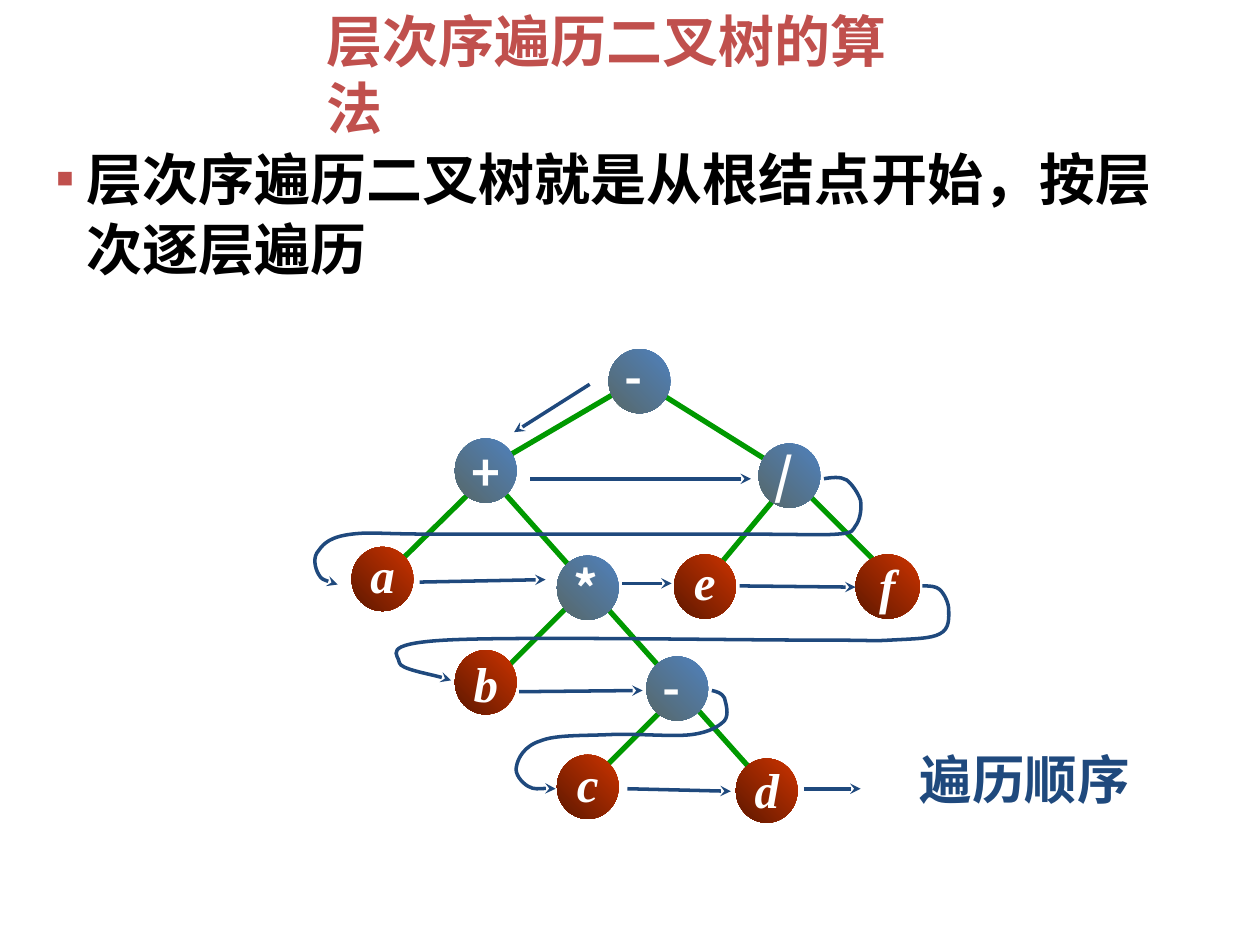
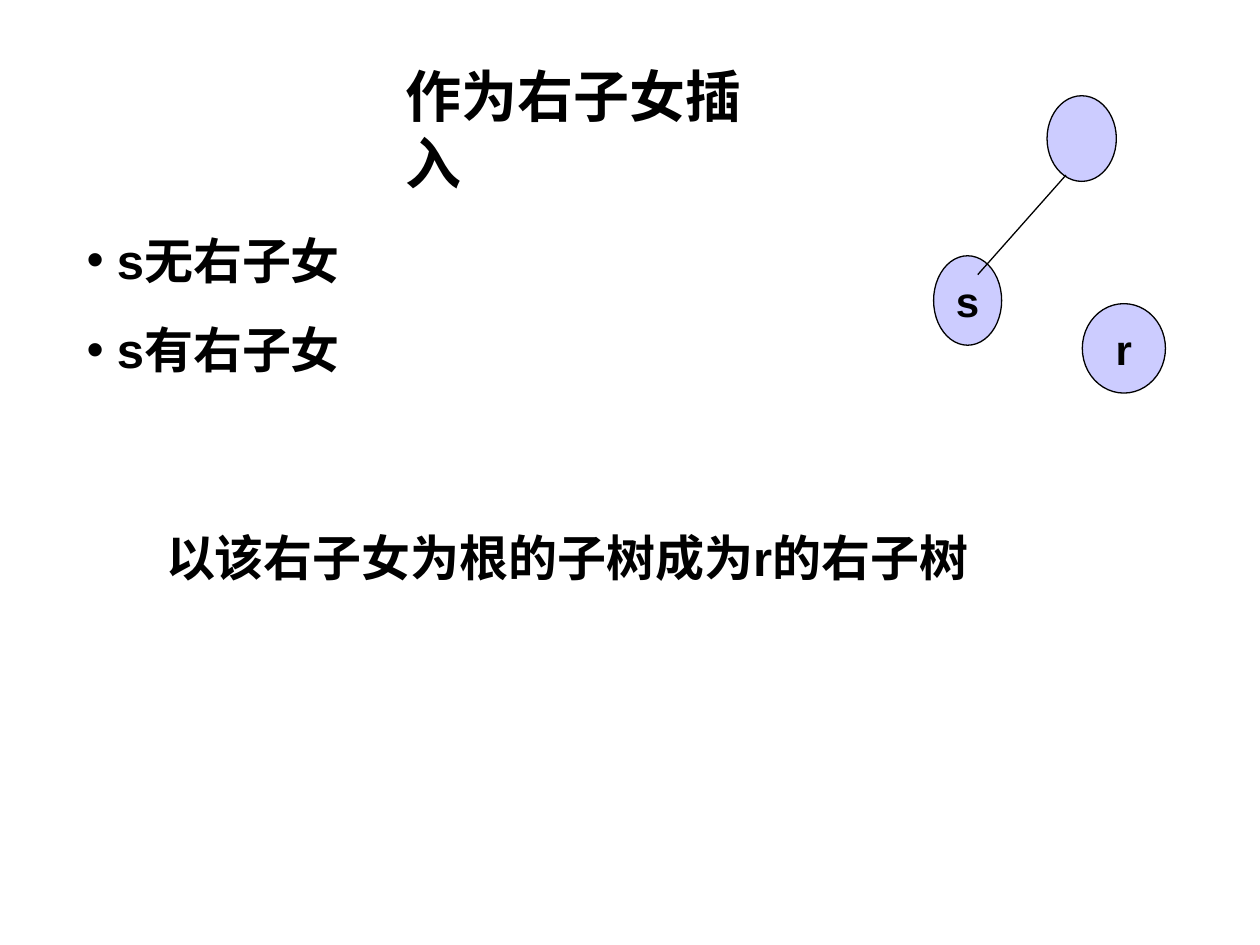
"""Build two slides on binary trees: level-order traversal and right-child insertion."""
import dataclasses
import typing

import lxml.etree
import pptx
import pptx.dml.color
import pptx.enum.shapes
import pptx.enum.text
import pptx.oxml.ns
import pptx.slide
import pptx.text.text
import pptx.util

RGB = pptx.dml.color.RGBColor
BLACK = RGB(0x00, 0x00, 0x00)
WHITE = RGB(0xFF, 0xFF, 0xFF)
NAVY = RGB(0x1F, 0x49, 0x7D)
BRICK = RGB(0xC0, 0x50, 0x4D)
GREEN = RGB(0x00, 0x99, 0x00)
LILAC = RGB(0xCC, 0xCC, 0xFF)
BLUES = (RGB(0x4F, 0x81, 0xBD), RGB(0x57, 0x68, 0x69))
REDS = (RGB(0xCC, 0x33, 0x00), RGB(0x5E, 0x18, 0x00))

SERIF = "Times New Roman"
SANS = "Arial"
HAN = "Noto Sans CJK SC"

COLS, ROWS = 100, 75
CELL = pptx.util.Inches(0.1)
Point = tuple[float, float]


class Box(typing.NamedTuple):
    """A place on the grid, in columns and rows."""
    left: float
    top: float
    wide: float
    high: float


class Link(typing.NamedTuple):
    """A straight line between two grid points."""
    start: Point
    end: Point


@dataclasses.dataclass(frozen=True)
class Node:
    """A tree node; leaves are operands, the rest operators."""
    mark: str
    left: float
    top: float
    lift: float
    span: float = 4.3
    wide: float = 4.9

    @property
    def leaf(self) -> bool:
        """Tell whether the node holds an operand."""
        return self.mark.isalpha()


@dataclasses.dataclass(frozen=True)
class Disc:
    """A plain labelled ellipse."""
    mark: str
    box: Box


NODES = (
    Node("-", 48.3, 27.7, 0.7),
    Node("+", 36.1, 34.8, 0.2),
    Node("/", 60.2, 35.2, 0.3),
    Node("a", 27.9, 43.4, 0.7, 3.9),
    Node("*", 44.2, 44.1, 0.3),
    Node("e", 53.5, 44, 0.7, 3.7),
    Node("f", 67.9, 44, 0.4, 3.3, 5.1),
    Node("b", 36.1, 51.6, 0.2, 3.9),
    Node("-", 51.3, 52.1, 0.4),
    Node("c", 44.2, 59.9, 0.6, 3.7),
    Node("d", 58.4, 60.2, 0.4, 3.9),
)
EDGES = (
    Link((49.7, 30.7), (39.8, 36.5)),
    Link((37.5, 38.9), (31.7, 44.6)),
    Link((40, 39.1), (59.9, 61.4)),
    Link((45.2, 48), (40, 53.2)),
    Link((52.9, 56), (47.3, 61.6)),
    Link((61.8, 39.2), (56.8, 45.2)),
    Link((52.2, 31.1), (61.3, 36.8)),
    Link((64, 39.1), (69.8, 44.9)),
)
STEPS = (
    Link((46.8, 30.5), (40.8, 34.3)),
    Link((42.1, 38), (59.6, 38)),
    Link((33.3, 46.2), (43.3, 46)),
    Link((49.4, 46.3), (53.3, 46.3)),
    Link((58.7, 46.5), (67.9, 46.6)),
    Link((41.2, 54.9), (51, 54.8)),
    Link((49.8, 62.6), (58, 62.8)),
    Link((63.8, 62.6), (68.3, 62.6)),
)
TURNS: tuple[tuple[Point, ...], ...] = (
    ((65.4, 38), (66, 37.9), (66.7, 37.8), (67.2, 38.1),
     (67.6, 38.4), (68.1, 39.1), (68.3, 39.7),
     (68.4, 40.3), (68.3, 41.1), (68, 41.6),
     (67.6, 42.1), (67.9, 42.3), (66.4, 42.4),
     (64.9, 42.5), (64.1, 42.4), (58.9, 42.4),
     (53.7, 42.4), (40.3, 42.4), (35.1, 42.4),
     (29.9, 42.4), (29.6, 42.2), (27.9, 42.4),
     (26.3, 42.6), (25.7, 43.1), (25.3, 43.7),
     (24.8, 44.2), (25, 45.1), (25.3, 45.6),
     (25.5, 46), (26.4, 46.3), (26.8, 46.4)),
    ((73.2, 46.5), (73.7, 46.5), (74.3, 46.5), (74.6, 46.8),
     (75, 47.2), (75.3, 47.9), (75.3, 48.4),
     (75.3, 49), (75.4, 49.9), (74.6, 50.3),
     (73.9, 50.7), (72.5, 50.7), (70.7, 50.8),
     (68.9, 50.9), (70, 50.8), (64.1, 50.8),
     (58.2, 50.8), (40.8, 50.5), (35.4, 50.8),
     (30, 51.1), (31.7, 52), (31.7, 52.6),
     (31.8, 53.1), (35.2, 53.7), (35.8, 54)),
    ((56.5, 54.8), (56.9, 54.9), (57.3, 55), (57.5, 55.4),
     (57.6, 55.8), (57.9, 56.7), (57.5, 57.2),
     (57.1, 57.6), (56.4, 58.1), (54.9, 58.3),
     (53.4, 58.5), (50.5, 58.2), (48.4, 58.3),
     (46.4, 58.4), (44.1, 58.3), (42.9, 58.8),
     (41.6, 59.2), (41.1, 60.2), (41, 60.8),
     (40.8, 61.4), (41.4, 62.1), (41.9, 62.4),
     (42.4, 62.7), (43.8, 62.5), (44.1, 62.6)),
)
DISCS = (
    Disc("s", Box(74.1, 20.3, 5.4, 7.1)),
    Disc("r", Box(85.9, 24.1, 6.6, 7.1)),
    Disc("", Box(83.1, 7.6, 5.5, 6.8)),
)


def size(*cells: float) -> list[int]:
    """Turn grid cells into lengths."""
    return [round(n * CELL) for n in cells]


def tag(parent: typing.Any, name: str, **attrs: str) -> typing.Any:
    """Append a DrawingML element."""
    return lxml.etree.SubElement(parent, pptx.oxml.ns.qn(name), attrs)


def dot(par: pptx.text.text._Paragraph, sign: str, hue: RGB, share: int) -> None:
    """Give a paragraph a bullet with a hanging indent."""
    props = par._p.get_or_add_pPr()
    hang = size(2.4)[0]
    props.set("marL", str(hang))
    props.set("indent", str(-hang))
    tag(tag(props, "a:buClr"), "a:srgbClr", val=str(hue))
    tag(props, "a:buSzPct", val=str(share * 1000))
    tag(props, "a:buFont", typeface=SANS)
    tag(props, "a:buChar", char=sign)


def write(shape: typing.Any, text: str, *, pts: float = 28, face: str = SERIF,
          hue: RGB = BLACK, slant: bool = False, wrap: bool = True,
          mid: bool = False, sign: str = "", tint: RGB = BLACK,
          share: int = 100, lead: float | None = None, gap: float = 0) -> None:
    """Fill a shape with bold text, one paragraph a line."""
    frame = shape.text_frame
    frame.word_wrap = wrap
    anchor = pptx.enum.text.MSO_ANCHOR
    frame.vertical_anchor = anchor.MIDDLE if mid else anchor.TOP
    align = pptx.enum.text.PP_ALIGN
    for i, line in enumerate(text.split("\n")):
        par = frame.add_paragraph() if i else frame.paragraphs[0]
        if sign:
            dot(par, sign, tint, share)
        par.alignment = align.CENTER if mid else align.LEFT
        if lead:
            par.line_spacing = lead
        if i:
            par.space_before = pptx.util.Pt(gap)
        run = par.add_run()
        run.text = line
        font = run.font
        font.size, font.name = pptx.util.Pt(pts), face
        font.bold, font.italic = True, slant
        font.color.rgb = hue
        tag(run._r.get_or_add_rPr(), "a:ea", typeface=HAN)


def note(slide: pptx.slide.Slide, box: Box, text: str, **style: typing.Any) -> None:
    """Add a text box."""
    write(slide.shapes.add_textbox(*size(*box)), text, **style)


def title(slide: pptx.slide.Slide, box: Box, text: str, hue: RGB) -> None:
    """Add the slide's heading."""
    note(slide, box, text, pts=32, hue=hue, wrap=False)


def pen(shape: typing.Any, hue: RGB, pts: float, arrow: bool = False) -> None:
    """Set a line's colour, width and arrowhead."""
    shape.line.color.rgb = hue
    shape.line.width = pptx.util.Pt(pts)
    if arrow:
        edge = shape.element.find(".//" + pptx.oxml.ns.qn("a:ln"))
        tag(edge, "a:tailEnd", type="stealth")


def join(slide: pptx.slide.Slide, link: Link, hue: RGB, pts: float,
         arrow: bool = False) -> None:
    """Draw a straight line."""
    kind = pptx.enum.shapes.MSO_CONNECTOR.STRAIGHT
    line = slide.shapes.add_connector(kind, *size(*link.start, *link.end))
    pen(line, hue, pts, arrow)
    tag(line.element.spPr, "a:effectLst")


def bend(slide: pptx.slide.Slide, dots: tuple[Point, ...]) -> None:
    """Draw a curved arrow through a chain of cubic control points."""
    first, *rest = [size(*spot) for spot in dots]
    plan = slide.shapes.build_freeform(*first)
    plan.add_line_segments(rest, close=False)
    curve = plan.convert_to_shape()
    curve.shadow.inherit = False
    curve.fill.background()
    pen(curve, NAVY, 2, True)
    track = curve.element.find(".//" + pptx.oxml.ns.qn("a:path"))
    legs = track.findall(pptx.oxml.ns.qn("a:lnTo"))
    for i in range(0, len(legs), 3):
        cubic = tag(track, "a:cubicBezTo")
        for leg in legs[i:i + 3]:
            cubic.append(leg[0])
            track.remove(leg)


def oval(slide: pptx.slide.Slide, box: Box) -> typing.Any:
    """Add an ellipse without a shadow."""
    kind = pptx.enum.shapes.MSO_SHAPE.OVAL
    shape = slide.shapes.add_shape(kind, *size(*box))
    shape.shadow.inherit = False
    return shape


def knot(slide: pptx.slide.Slide, node: Node) -> None:
    """Draw a shaded tree node and its label."""
    ball = oval(slide, Box(node.left, node.top, node.wide, 5.1))
    ball.line.fill.background()
    ball.fill.gradient()
    ball.fill.gradient_angle = 225
    for stop, hue in zip(ball.fill.gradient_stops, REDS if node.leaf else BLUES):
        stop.color.rgb = hue
    left = node.left + (node.wide - node.span) / 2
    note(slide, Box(left, node.top - node.lift, node.span, 5.7), node.mark,
         face=SERIF if node.leaf else HAN, hue=WHITE, slant=node.leaf, wrap=False)


def walk(slide: pptx.slide.Slide) -> None:
    """Fill the level-order traversal slide."""
    note(slide, Box(72, 58.8, 22.5, 6), "遍历顺序", pts=30, hue=NAVY)
    for edge in EDGES:
        join(slide, edge, GREEN, 3)
    for node in NODES:
        knot(slide, node)
    for step in STEPS:
        join(slide, step, NAVY, 2, True)
    for turn in TURNS:
        bend(slide, turn)
    title(slide, Box(24.9, 0, 50.9, 6.4), "层次序遍历二叉树的算法", BRICK)
    note(slide, Box(3.5, 10.7, 92.1, 12.2),
         "层次序遍历二叉树就是从根结点开始，按层次逐层遍历",
         pts=32, sign="■", tint=BRICK, share=50, lead=1.05)


def graft(slide: pptx.slide.Slide) -> None:
    """Fill the right-child insertion slide."""
    for disc in DISCS:
        shape = oval(slide, disc.box)
        shape.fill.solid()
        shape.fill.fore_color.rgb = LILAC
        pen(shape, BLACK, 0.75)
        if disc.mark:
            write(shape, disc.mark, pts=24, face=SANS, wrap=False, mid=True)
    join(slide, Link((84.6, 13.9), (77.6, 21.8)), BLACK, 0.75)
    note(slide, Box(5.9, 17.8, 65.4, 12.8), "s无右子女\ns有右子女",
         face=SANS, sign="•", gap=17.5)
    note(slide, Box(12.2, 41.4, 74, 12.8), "以该右子女为根的子树成为r的右子树", face=SANS)
    title(slide, Box(31.2, 4.4, 33.1, 6.4), "作为右子女插入", BLACK)


def main() -> None:
    """Build and save the deck."""
    deck = pptx.Presentation()
    deck.slide_width, deck.slide_height = size(COLS, ROWS)
    for fill in (walk, graft):
        fill(deck.slides.add_slide(deck.slide_layouts[6]))
    deck.save("out.pptx")


if __name__ == "__main__":
    main()
